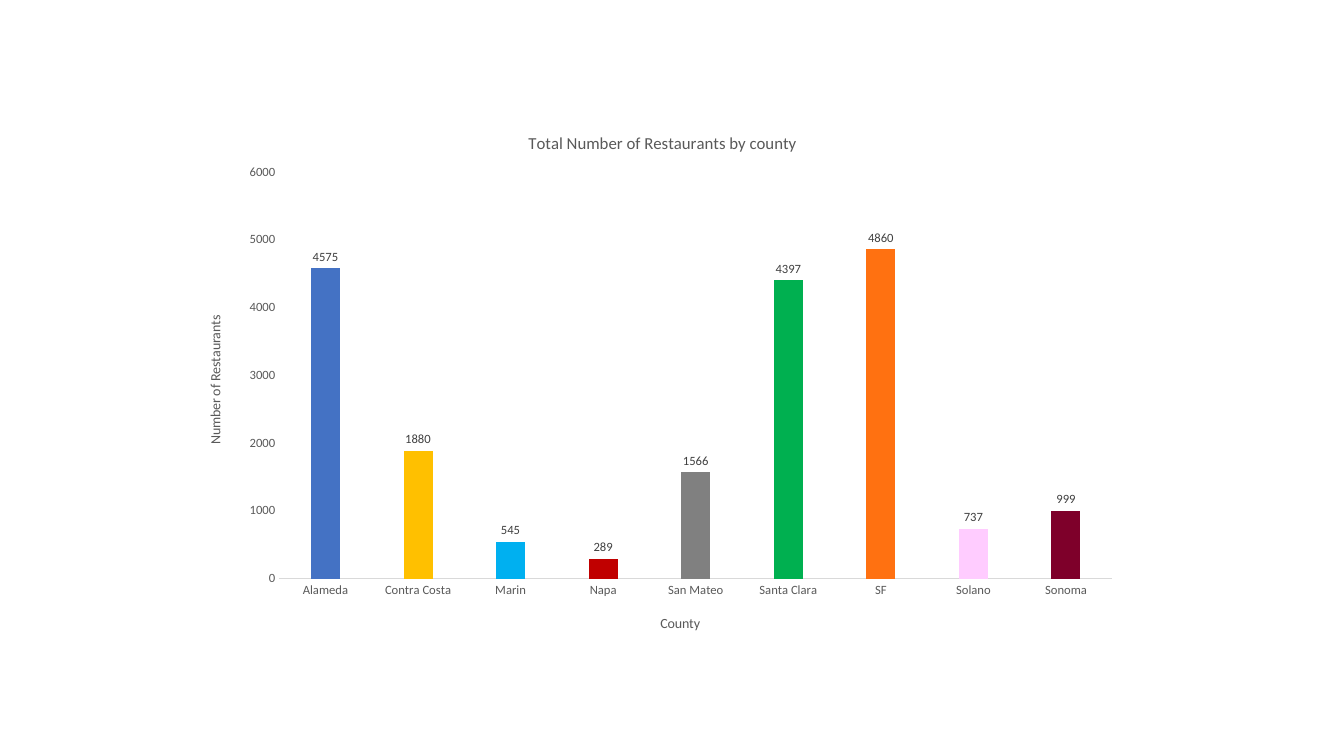
from lxml.etree import SubElement
from pptx import Presentation
from pptx.chart.data import CategoryChartData
from pptx.dml.color import RGBColor
from pptx.enum.chart import XL_CHART_TYPE as ChartType
from pptx.enum.chart import XL_LABEL_POSITION as LabelPos
from pptx.enum.chart import XL_TICK_MARK as TickMark
from pptx.oxml.ns import qn
from pptx.util import Inches, Pt

FONT = "Calibri"
COLORS = {
    "text": "595959", "label": "404040", "axis": "D9D9D9",
    "Alameda": "4472C4", "Contra Costa": "FFC000", "Marin": "00B0F0",
    "Napa": "C00000", "San Mateo": "808080", "Santa Clara": "00B050",
    "SF": "FF7111", "Solano": "FFCCFF", "Sonoma": "7E002A",
}
RESTAURANTS = {
    "Alameda": 4575, "Contra Costa": 1880, "Marin": 545, "Napa": 289,
    "San Mateo": 1566, "Santa Clara": 4397, "SF": 4860, "Solano": 737,
    "Sonoma": 999,
}


def rgb(name):
    """Return the named colour."""
    return RGBColor.from_string(COLORS[name])


def style_font(font, size, color="text"):
    """Set the face, size and colour of a font."""
    font.name, font.size, font.bold = FONT, Pt(size), False
    font.color.rgb = rgb(color)


def place(layout, **fractions):
    """Fix a chart part at fractions of the chart's size."""
    manual = SubElement(layout, qn("c:manualLayout"))
    if "w" in fractions:
        SubElement(manual, qn("c:layoutTarget")).set("val", "inner")
    for key in ("x", "y"):
        SubElement(manual, qn(f"c:{key}Mode")).set("val", "edge")
    for key, value in fractions.items():
        SubElement(manual, qn(f"c:{key}")).set("val", str(value))


def add_title(owner, text, size, x, y):
    """Give a chart or an axis a title at a fixed place."""
    owner.has_title = True
    title = owner.chart_title if hasattr(owner, "chart_title") else owner.axis_title
    r = title.text_frame.paragraphs[0].add_run()
    r.text = text
    style_font(r.font, size)
    layout = title._element.find(qn("c:layout"))
    if layout is None:
        layout = SubElement(title._element, qn("c:layout"))
        title._element.find(qn("c:tx")).addnext(layout)
    place(layout, x=x, y=y)


def style_axis(axis):
    """Remove gridlines and tick marks and format the tick labels."""
    axis.has_major_gridlines = False
    axis.major_tick_mark = axis.minor_tick_mark = TickMark.NONE
    style_font(axis.tick_labels.font, 9)


def style_columns(plot):
    """Set column spacing, one colour per county, and value labels."""
    plot.gap_width, plot.overlap, plot.vary_by_categories = 219, -27, False
    series = plot.series[0]
    series.format.fill.solid()
    series.format.fill.fore_color.rgb = rgb("Alameda")
    for i, county in enumerate(RESTAURANTS):
        fill = series.points[i].format.fill
        fill.solid()
        fill.fore_color.rgb = rgb(county)
    labels = series.data_labels
    labels.show_value, labels.position = True, LabelPos.OUTSIDE_END
    style_font(labels.font, 9, "label")


def add_county_chart(s):
    """Add the column chart of restaurants by county."""
    data = CategoryChartData()
    data.categories = list(RESTAURANTS)
    data.add_series("Series 1", list(RESTAURANTS.values()))
    chart = s.shapes.add_chart(
        ChartType.COLUMN_CLUSTERED, Inches(1.83), Inches(1.06),
        Inches(9.39), Inches(5.38), data).chart
    chart.has_legend = False
    style_font(chart.font, 10)
    add_title(chart, "Total Number of Restaurants by county", 12, 0.36, 0.04)

    counties, counts = chart.category_axis, chart.value_axis
    for axis in (counties, counts):
        style_axis(axis)
    add_title(counties, "County", 10, 0.5, 0.93)
    add_title(counts, "Number of Restaurants", 10, 0.02, 0.38)
    counties.format.line.color.rgb = rgb("axis")
    counties.format.line.width = Pt(0.75)
    counts.format.line.fill.background()
    counts.minimum_scale, counts.maximum_scale, counts.major_unit = 0, 6000, 1000

    plot = chart.plots[0]
    style_columns(plot)
    area = plot._element.getparent()
    layout = area.find(qn("c:layout"))
    if layout is None:
        layout = SubElement(area, qn("c:layout"))
        area.insert(0, layout)
    place(layout, x=0.1, y=0.12, w=0.88, h=0.75)


def main():
    """Build and save the slide."""
    prs = Presentation()
    prs.slide_width, prs.slide_height = Inches(13.33), Inches(7.5)
    s = prs.slides.add_slide(prs.slide_layouts[6])
    add_county_chart(s)
    prs.save("out.pptx")


if __name__ == "__main__":
    main()
